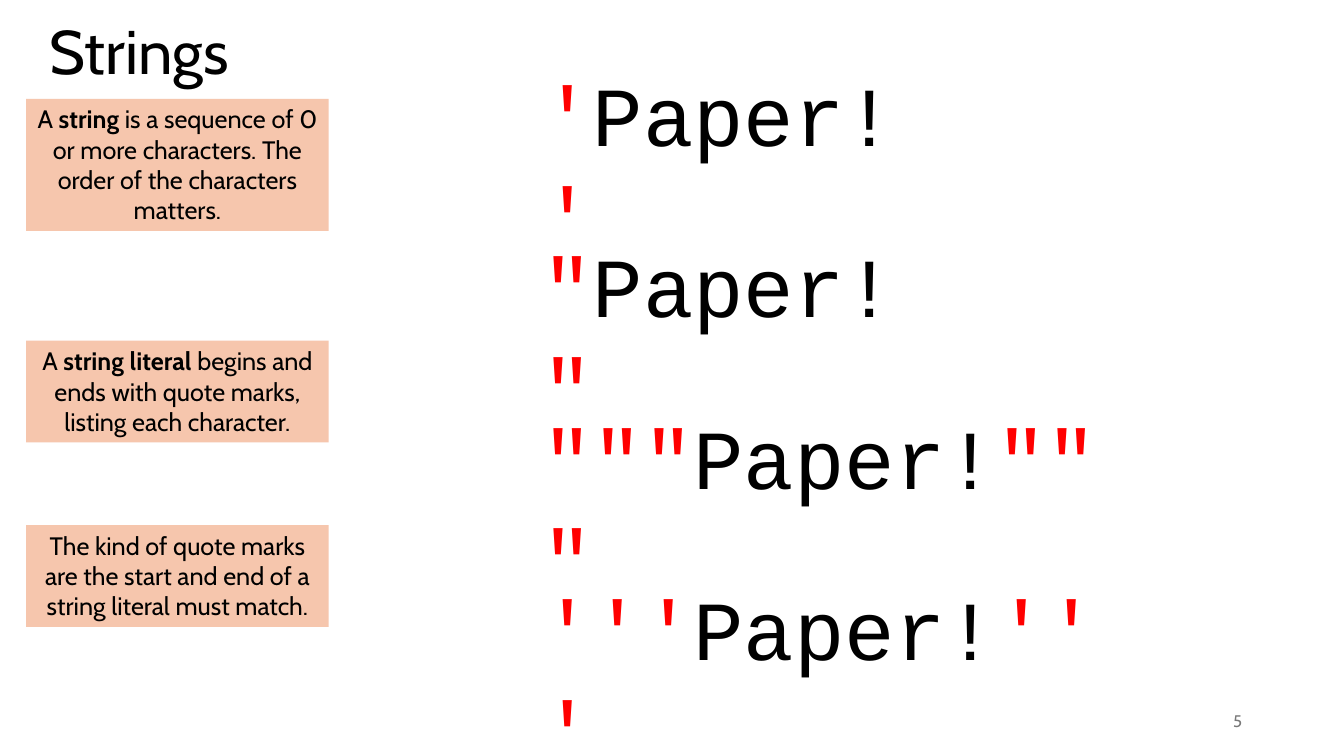
from pptx import Presentation
from pptx.dml.color import RGBColor
from pptx.enum.shapes import MSO_SHAPE
from pptx.enum.text import MSO_ANCHOR, MSO_AUTO_SIZE, PP_ALIGN
from pptx.util import Pt

EMU_PER_PX = 9144  # 100 px to the inch
TITLE_ONLY_LAYOUT = 5

RECTANGLE = MSO_SHAPE.RECTANGLE
TOP, MIDDLE = MSO_ANCHOR.TOP, MSO_ANCHOR.MIDDLE
LEFT, CENTER, RIGHT = PP_ALIGN.LEFT, PP_ALIGN.CENTER, PP_ALIGN.RIGHT
NO_AUTOFIT = MSO_AUTO_SIZE.NONE

BLACK = RGBColor(0x00, 0x00, 0x00)
GRAY = RGBColor(0x79, 0x79, 0x79)
RED = RGBColor(0xFF, 0x00, 0x00)
PEACH = RGBColor(0xF6, 0xC6, 0xAD)

BODY_FONT = "Cabin"
CODE_FONT = "Courier New"

# Top, height and (text, bold) runs of each note
NOTES = [
    (98, 131, [
        ("A ", False),
        ("string", True),
        (" is a sequence of 0 or more characters. "
         "The order of the characters matters.", False),
    ]),
    (338, 101, [
        ("A ", False),
        ("string literal", True),
        (" begins and ends with quote marks, listing each character.", False),
    ]),
    (521, 101, [
        ("The kind of quote marks are the start and end of a "
         "string literal must match.", False),
    ]),
]

# Quote mark and box width of each literal
LITERALS = [("'", 390), ('"', 390), ('"""', 576), ("'''", 576)]
LITERAL_PITCH = 170


def px(*lengths):
    return [length * EMU_PER_PX for length in lengths]


def write_text(shape, runs, size, font=BODY_FONT, align=LEFT, anchor=TOP):
    """Fill a shape with one paragraph of (text, colour, bold) runs."""
    frame = shape.text_frame
    frame_format = {"word_wrap": True, "auto_size": NO_AUTOFIT,
                    "vertical_anchor": anchor}
    for name, value in frame_format.items():
        setattr(frame, name, value)
    paragraph = frame.paragraphs[0]
    paragraph.alignment = align
    for text, color, bold in runs:
        run = paragraph.add_run()
        run.text = text
        run_format = {"name": font, "size": Pt(size), "bold": bold}
        for name, value in run_format.items():
            setattr(run.font, name, value)
        run.font.color.rgb = color
    return paragraph


def add_title(slide, box, text):
    title = slide.shapes.title
    for name, value in zip(("left", "top", "width", "height"), px(*box)):
        setattr(title, name, value)
    paragraph = write_text(title, [(text, BLACK, False)], 44, anchor=MIDDLE)
    paragraph.line_spacing = 0.9


def add_notes(slide, left, width):
    for top, height, runs in NOTES:
        note = slide.shapes.add_shape(RECTANGLE, *px(left, top, width, height))
        note.shadow.inherit = False
        note.fill.solid()
        note.fill.fore_color.rgb = PEACH
        note.line.fill.background()
        write_text(note, [(text, BLACK, bold) for text, bold in runs], 18,
                   align=CENTER)


def add_literals(slide, left, top, height):
    for row, (quote, width) in enumerate(LITERALS):
        literal = slide.shapes.add_textbox(
            *px(left, top + row * LITERAL_PITCH, width, height))
        runs = [(quote, RED, False), ("Paper!", BLACK, False),
                (quote, RED, False)]
        write_text(literal, runs, 60, font=CODE_FONT)


def add_page_number(slide, box, number):
    page_number = slide.shapes.add_textbox(*px(*box))
    write_text(page_number, [(number, GRAY, False)], 12, align=RIGHT,
               anchor=MIDDLE)


def main():
    presentation = Presentation()
    presentation.slide_width, presentation.slide_height = px(1333, 750)
    layout = presentation.slide_layouts[TITLE_ONLY_LAYOUT]
    slide = presentation.slides.add_slide(layout)

    add_title(slide, (39, -18, 361, 145), "Strings")
    add_notes(slide, left=26, width=300)
    add_literals(slide, left=528, top=57, height=111)
    add_page_number(slide, (942, 695, 300, 40), "5")

    presentation.save("out.pptx")


if __name__ == "__main__":
    main()
